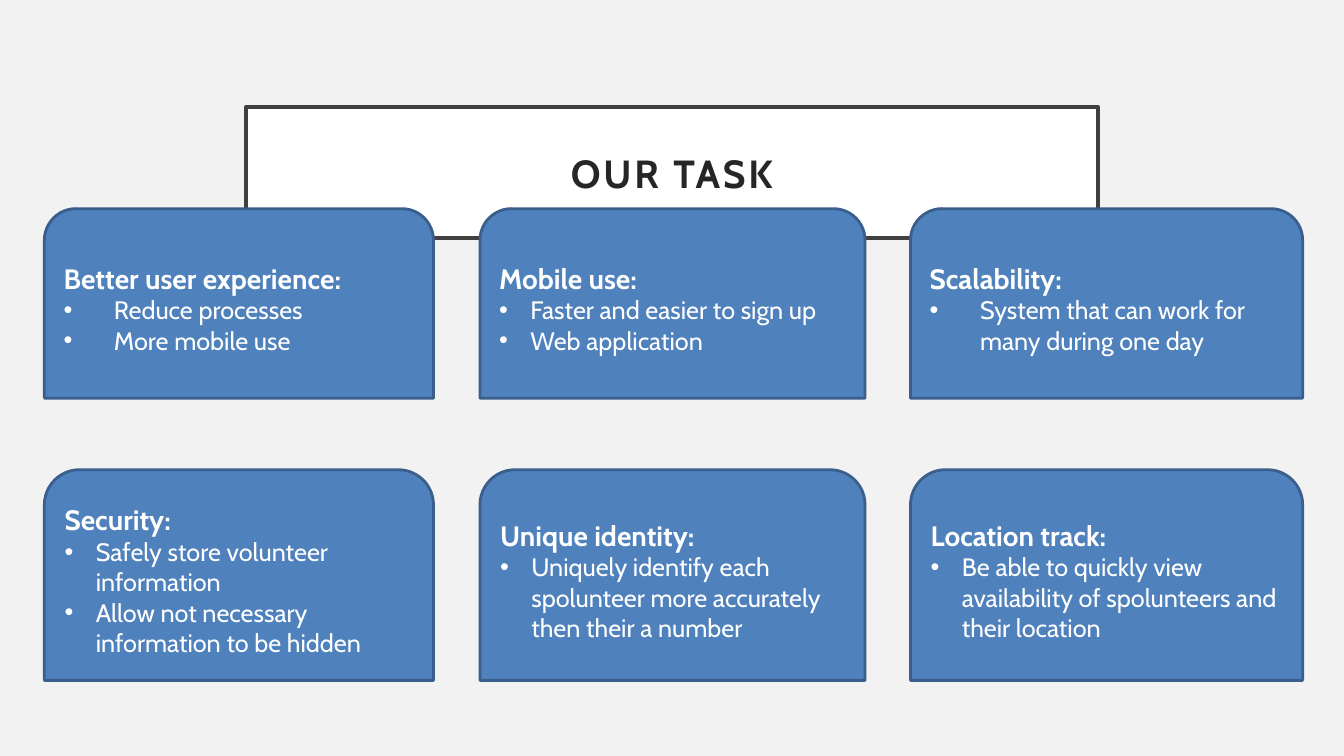
"""Builds the "Our task" slide: a framed title above six goal cards."""
from lxml import etree
from pptx import Presentation
from pptx import util as u
from pptx.dml.color import RGBColor
from pptx.enum import shapes, text
from pptx.oxml.ns import qn

TITLE = "OUR TASK"
WIDE, NARROW = 0.5, 0.31
CARDS = [
    [("Better user experience:", WIDE, ["Reduce processes", "More mobile use"]),
     ("Mobile use:", NARROW, ["Faster and easier to sign up", "Web application"]),
     ("Scalability:", WIDE, ["System that can work for many during one day"])],
    [("Security:", NARROW, ["Safely store volunteer information",
                            "Allow not necessary information to be hidden"]),
     ("Unique identity:", NARROW,
      ["Uniquely identify each spolunteer more accurately then their a number"]),
     ("Location track:", NARROW,
      ["Be able to quickly view availability of spolunteers and their location"])],
]
COLORS = {"bg": "F2F2F2", "white": "FFFFFF", "frame": "404040",
          "title": "262626", "card": "4F81BD", "edge": "3A5F8C"}
COLUMNS = [(0.44, 3.86), (4.76, 3.82), (9.03, 3.89)]
ROWS = [(2.07, 1.88), (4.66, 2.09)]
TITLE_BOX = (2.44, 1.06, 8.45, 1.3)
HEAD = {"name": "Cabin", "size": u.Pt(20), "bold": True}
ITEM = {"name": "Cabin", "size": u.Pt(18), "bold": False}
TITLE_FONT = {"name": "Cabin", "size": u.Pt(28), "bold": True}


def rgb(key):
    return RGBColor.from_string(COLORS[key])


def apply(obj, values):
    for name, value in values.items():
        setattr(obj, name, value)


def paint(sp, fill, line, width):
    sp.fill.solid()
    sp.fill.fore_color.rgb = rgb(fill)
    sp.line.color.rgb = rgb(line)
    sp.line.width = u.Pt(width)


def write(p, words, font, color):
    r = p.add_run()
    r.text = words
    apply(r.font, font)
    r.font.color.rgb = rgb(color)
    return r


def add_bullet(p, indent):
    pPr = p._p.get_or_add_pPr()
    pPr.set("marL", str(u.Inches(indent)))
    pPr.set("indent", str(-u.Inches(indent)))
    clr = etree.SubElement(pPr, qn("a:buClr"))
    etree.SubElement(clr, qn("a:srgbClr"), val=COLORS["white"])
    etree.SubElement(pPr, qn("a:buFont"), typeface="Arial")
    etree.SubElement(pPr, qn("a:buChar"), char="•")


def add_title(s):
    sp = s.shapes.title
    apply(sp, dict(zip(("left", "top", "width", "height"), map(u.Inches, TITLE_BOX))))
    paint(sp, "white", "frame", 2.5)
    tf = sp.text_frame
    margins = ("margin_left", "margin_top", "margin_right", "margin_bottom")
    apply(tf, dict.fromkeys(margins, u.Inches(0.2)))
    apply(tf, {"auto_size": text.MSO_AUTO_SIZE.NONE, "word_wrap": True,
               "vertical_anchor": text.MSO_ANCHOR.MIDDLE})
    p = tf.paragraphs[0]
    p.alignment = text.PP_ALIGN.CENTER
    r = write(p, TITLE, TITLE_FONT, "title")
    r.font._element.set("spc", "200")


def add_card(s, box, card):
    head, indent, items = card
    sp = s.shapes.add_shape(shapes.MSO_SHAPE.ROUND_2_SAME_RECTANGLE, *map(u.Inches, box))
    sp.shadow.inherit = False
    paint(sp, "card", "edge", 2)
    tf = sp.text_frame
    apply(tf, {"word_wrap": True, "vertical_anchor": text.MSO_ANCHOR.MIDDLE})
    p = tf.paragraphs[0]
    p.alignment = text.PP_ALIGN.LEFT
    write(p, head, HEAD, "white")
    for item in items:
        p = tf.add_paragraph()
        p.alignment = text.PP_ALIGN.LEFT
        add_bullet(p, indent)
        write(p, item, ITEM, "white")


def main():
    prs = Presentation()
    apply(prs, {"slide_width": u.Inches(13.33), "slide_height": u.Inches(7.5)})
    s = prs.slides.add_slide(prs.slide_layouts[5])
    s.background.fill.solid()
    s.background.fill.fore_color.rgb = rgb("bg")
    add_title(s)
    for (top, height), row in zip(ROWS, CARDS):
        for (left, width), card in zip(COLUMNS, row):
            add_card(s, (left, top, width, height), card)
    prs.save("out.pptx")


if __name__ == "__main__":
    main()
